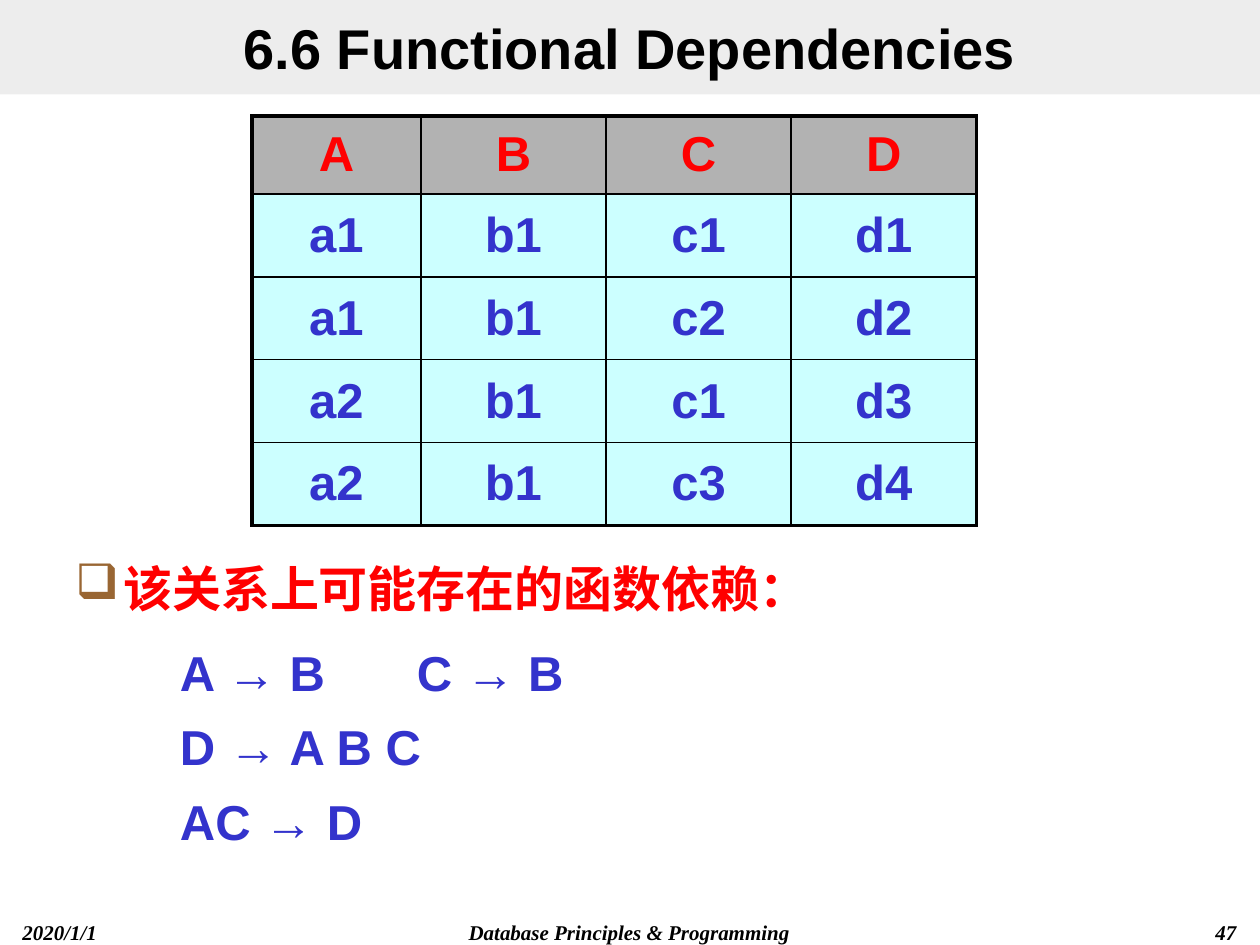
from dataclasses import dataclass

from lxml.etree import SubElement
from pptx import Presentation
from pptx.dml.color import RGBColor
from pptx.enum.shapes import MSO_SHAPE as Shape
from pptx.enum.text import MSO_ANCHOR as Anchor, PP_ALIGN as Align
from pptx.oxml.ns import qn
from pptx.util import Inches, Pt


@dataclass(frozen=True)
class Theme:
    black: str = "000000"
    banner: str = "DDDDDD"
    red: str = "FF0000"
    blue: str = "3333CC"
    header_fill: str = "B2B2B2"
    cell_fill: str = "CCFFFF"
    bullet: str = "996633"
    sans: str = "Arial"
    serif: str = "Times New Roman"
    title_size: float = 32
    body_size: float = 28
    footer_size: float = 12
    thin: float = 1
    thick: float = 2.25


THEME = Theme()
HANG = Inches(0.38)

RELATION = [
    ["A", "B", "C", "D"],
    ["a1", "b1", "c1", "d1"],
    ["a1", "b1", "c2", "d2"],
    ["a2", "b1", "c1", "d3"],
    ["a2", "b1", "c3", "d4"],
]
DEPENDENCIES = ["A → B \t\tC → B", "D → A B C", "AC → D"]


def add_run(paragraph, text, size, color, face=THEME.sans, italic=False):
    run = paragraph.add_run()
    run.text = text
    font = run.font
    font.name, font.size = face, Pt(size)
    font.bold, font.italic = True, italic
    font.color.rgb = RGBColor.from_string(color)


def add_text_frame(slide, box):
    frame = slide.shapes.add_textbox(*map(Inches, box)).text_frame
    frame.word_wrap = True
    return frame


def hang(paragraph):
    properties = paragraph._p.get_or_add_pPr()
    properties.set("marL", str(HANG))
    properties.set("indent", str(-HANG))
    return properties


def add_banner(slide, box, title):
    banner = slide.shapes.add_shape(Shape.RECTANGLE, *map(Inches, box))
    banner.shadow.inherit = False
    banner.line.fill.background()
    banner.fill.solid()
    banner.fill.fore_color.rgb = RGBColor.from_string(THEME.banner)
    # Half-transparent fill
    color = banner.fill._xPr.find(".//" + qn("a:srgbClr"))
    SubElement(color, qn("a:alpha"), val="50000")

    frame = banner.text_frame
    frame.word_wrap = True
    frame.vertical_anchor = Anchor.MIDDLE
    frame.margin_top = frame.margin_bottom = 0
    paragraph = frame.paragraphs[0]
    paragraph.alignment = Align.CENTER
    add_run(paragraph, title, THEME.title_size, THEME.black)


def set_borders(cell, widths):
    properties = cell._tc.get_or_add_tcPr()
    for position, (side, width) in enumerate(widths.items()):
        line = SubElement(properties, qn(f"a:ln{side}"), w=str(Pt(width)))
        fill = SubElement(line, qn("a:solidFill"))
        SubElement(fill, qn("a:srgbClr"), val=THEME.black)
        # Borders come before the cell fill
        properties.insert(position, line)


def add_relation(slide, box, rows):
    left, top, width, height = box
    last_row, last_column = len(rows) - 1, len(rows[0]) - 1
    first_width, header_height = 1.34, 0.62
    table = slide.shapes.add_table(len(rows), len(rows[0]), *map(Inches, box)).table
    for c, column in enumerate(table.columns):
        column.width = Inches((width - first_width) / last_column if c else first_width)
    for r, row in enumerate(table.rows):
        row.height = Inches((height - header_height) / last_row if r else header_height)

    for r, values in enumerate(rows):
        for c, value in enumerate(values):
            cell = table.cell(r, c)
            cell.vertical_anchor = Anchor.MIDDLE
            cell.margin_top = cell.margin_bottom = 0
            cell.fill.solid()
            fill = THEME.cell_fill if r else THEME.header_fill
            cell.fill.fore_color.rgb = RGBColor.from_string(fill)
            outer = {"L": c == 0, "R": c == last_column, "T": r == 0, "B": r == last_row}
            set_borders(cell, {side: THEME.thick if edge else THEME.thin
                               for side, edge in outer.items()})
            paragraph = cell.text_frame.paragraphs[0]
            paragraph.alignment = Align.CENTER
            add_run(paragraph, value, THEME.body_size, THEME.blue if r else THEME.red)


def add_question(slide, box, question):
    paragraph = add_text_frame(slide, box).paragraphs[0]
    properties = hang(paragraph)
    bullet_color = SubElement(properties, qn("a:buClr"))
    SubElement(bullet_color, qn("a:srgbClr"), val=THEME.bullet)
    SubElement(properties, qn("a:buChar"), char="❑")
    add_run(paragraph, question, THEME.body_size, THEME.red)


def add_dependencies(slide, box, dependencies):
    frame = add_text_frame(slide, box)
    for i, dependency in enumerate(dependencies):
        paragraph = frame.add_paragraph() if i else frame.paragraphs[0]
        hang(paragraph)
        paragraph.line_spacing = 1.1
        if i:
            paragraph.space_before = Pt(0.2 * THEME.body_size)
        add_run(paragraph, dependency, THEME.body_size, THEME.blue)


def add_footer(slide, box, date, course, number):
    left, top, width, height = box
    side_width, course_width = 2.08, 4.33
    parts = [
        (date, left, side_width, Align.LEFT),
        (course, left + (width - course_width) / 2, course_width, Align.CENTER),
        (number, left + width - side_width, side_width, Align.RIGHT),
    ]
    for text, part_left, part_width, alignment in parts:
        paragraph = add_text_frame(slide, (part_left, top, part_width, height)).paragraphs[0]
        paragraph.alignment = alignment
        add_run(paragraph, text, THEME.footer_size, THEME.black, THEME.serif, italic=True)


def main():
    deck = Presentation()
    deck.slide_width, deck.slide_height = Inches(10), Inches(7.5)
    slide = deck.slides.add_slide(deck.slide_layouts[6])

    add_footer(slide, (0.08, 7.25, 9.83, 0.25),
               "2020/1/1", "Database Principles & Programming", "47")
    add_banner(slide, (0, 0, 10, 0.75), "6.6 Functional Dependencies")
    add_question(slide, (0.5, 4.38, 9, 0.68), "该关系上可能存在的函数依赖：")
    add_relation(slide, (2, 0.92, 5.75, 3.25), RELATION)
    add_dependencies(slide, (1.33, 5, 7.58, 1.83), DEPENDENCIES)

    deck.save("out.pptx")


if __name__ == "__main__":
    main()
